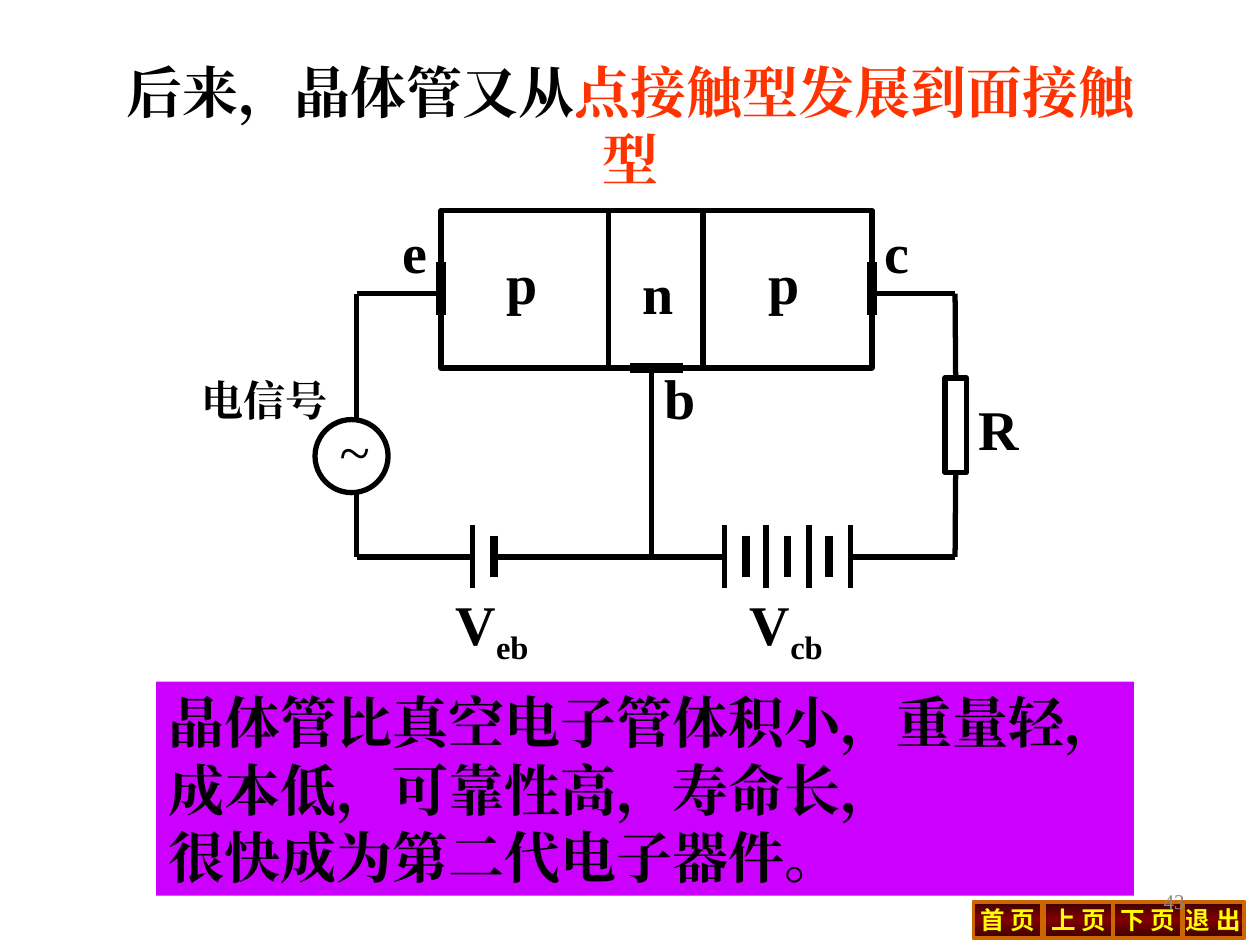
from copy import deepcopy

from lxml import etree
from pptx import Presentation
from pptx.dml.color import RGBColor
from pptx.enum.shapes import MSO_CONNECTOR, MSO_SHAPE
from pptx.enum.text import MSO_ANCHOR, PP_ALIGN
from pptx.oxml.ns import qn
from pptx.util import Inches, Pt

STRAIGHT = MSO_CONNECTOR.STRAIGHT
RECTANGLE, OVAL, BEVEL = MSO_SHAPE.RECTANGLE, MSO_SHAPE.OVAL, MSO_SHAPE.BEVEL
LEFT, CENTER, RIGHT = PP_ALIGN.LEFT, PP_ALIGN.CENTER, PP_ALIGN.RIGHT
MIDDLE = MSO_ANCHOR.MIDDLE
BLACK = "000000"


def color(hex_string):
    return RGBColor.from_string(hex_string)


class SlideBuilder:
    latin = "Times New Roman"
    chinese = "Noto Sans CJK SC"

    def __init__(self, page):
        self.page = page

    def set_text(self, shape, paragraphs, size=32, ink=BLACK, bold=True, italic=False,
                 font=latin, align=CENTER, wrap=False):
        """Fill a shape; each paragraph is a list of (text, overrides) spans."""
        frame = shape.text_frame
        frame.word_wrap = wrap
        frame.vertical_anchor = MIDDLE
        for index, spans in enumerate(paragraphs):
            para = frame.paragraphs[0] if index == 0 else frame.add_paragraph()
            para.alignment = align
            para.line_spacing = 1.0
            for text, overrides in spans:
                span = para.add_run()
                span.text = text
                span.font.size = Pt(size)
                span.font.bold = bold
                span.font.italic = italic
                span.font.name = font
                span.font.color.rgb = color(overrides.get("ink", ink))
                properties = span._r.get_or_add_rPr()
                etree.SubElement(properties, qn("a:ea")).set("typeface", font)
                if "baseline" in overrides:
                    properties.set("baseline", str(overrides["baseline"]))

    def title(self, spans, left, top, width, height):
        box = self.page.shapes.title
        box.left, box.top = Inches(left), Inches(top)
        box.width, box.height = Inches(width), Inches(height)
        self.set_text(box, [spans])

    def label(self, spans, left, top, width, height=0.64, **style):
        box = self.page.shapes.add_textbox(
            Inches(left), Inches(top), Inches(width), Inches(height))
        self.set_text(box, [spans], **style)

    def shape(self, kind, left, top, width, height, fill=None, line=BLACK, weight=3):
        shape = self.page.shapes.add_shape(
            kind, Inches(left), Inches(top), Inches(width), Inches(height))
        shape.shadow.inherit = False
        if fill:
            shape.fill.solid()
            shape.fill.fore_color.rgb = color(fill)
        else:
            shape.fill.background()
        if line:
            shape.line.color.rgb = color(line)
            shape.line.width = Pt(weight)
        else:
            shape.line.fill.background()
        return shape

    def wire(self, x1, y1, x2, y2, weight=3):
        wire = self.page.shapes.add_connector(
            STRAIGHT, Inches(x1), Inches(y1), Inches(x2), Inches(y2))
        wire.line.color.rgb = color(BLACK)
        wire.line.width = Pt(weight)
        etree.SubElement(wire._element.spPr, qn("a:effectLst"))
        return wire

    def button(self, text, left, width):
        button = self.shape(BEVEL, left, 7.15, width, 0.3, line="CC6600", weight=1)
        button.adjustments[0] = 0.05
        button.fill.gradient()
        button.fill.gradient_angle = 90
        first = button._element.spPr.find(".//" + qn("a:gs"))
        first.addnext(deepcopy(first))
        for stop, position, shade in zip(button.fill.gradient_stops, (0, 0.5, 1),
                                         ("3B0000", "800000", "3B0000")):
            stop.position = position
            stop.color.rgb = color(shade)
        self.set_text(button, [[(text, {})]], size=14, ink="FFFF00", font=self.chinese)


def draw_circuit(builder):
    left, right, base = 2.83, 7.58, 5.17
    top, bottom = 2.33, 4.42
    body_left, body_right, body_top, body_bottom = 3.5, 6.92, 1.67, 2.92

    builder.shape(RECTANGLE, body_left, body_top, body_right - body_left,
                  body_bottom - body_top)
    for junction in (4.83, 5.58):
        builder.wire(junction, body_top, junction, body_bottom)
    builder.shape(OVAL, 2.5, 3.33, 0.58, 0.58)
    resistor = builder.shape(RECTANGLE, 7.5, 3, 0.17, 0.75)

    for ends in (
        (body_right, top, right, top),
        (left, top, body_left, top),
        (left, top, left, 3.33),
        (left, 3.92, left, bottom),
        (base, body_bottom, base, bottom),
        (left, bottom, 3.75, bottom),
        (3.92, bottom, 5.75, bottom),
        (6.75, bottom, right, bottom),
    ):
        builder.wire(*ends)
    builder.wire(right, top, right, 3).end_connect(resistor, 0)
    builder.wire(right, 3.75, right, bottom).begin_connect(resistor, 2)

    for plate in (3.75, 5.75, 6.08, 6.42, 6.75):
        builder.wire(plate, 4.17, plate, 4.67)
    for plate in (3.92, 5.92, 6.25, 6.58):
        builder.wire(plate, 4.25, plate, 4.58, weight=4.5)
    for contact in (body_left, body_right):
        builder.wire(contact, 2.08, contact, 2.5, weight=6)
    builder.wire(5, body_bottom, 5.42, body_bottom, weight=6)

    for text, x, y, width in (
        ("p", 3.92, 1.92, 0.45), ("n", 5, 2, 0.45), ("p", 6, 1.92, 0.45),
        ("e", 3.09, 1.67, 0.4), ("c", 6.92, 1.67, 0.4), ("b", 5.17, 2.83, 0.45),
        ("R", 7.67, 3.08, 0.52),
    ):
        builder.label([(text, {})], x, y, width)
    for subscript, x, width in (("eb", 3.5, 0.81), ("cb", 5.85, 0.78)):
        builder.label([("V", {}), (subscript, {"baseline": -25000})],
                      x, 4.63, width, 0.71)
    builder.label([("~", {})], 2.59, 3.25, 0.44, bold=False, italic=True)
    builder.label([("电信号", {})], 1.5, 2.92, 1.2, 0.5, size=24)


def main():
    deck = Presentation()
    deck.slide_width, deck.slide_height = Inches(10), Inches(7.5)
    title_only = deck.slide_layouts[5]
    builder = SlideBuilder(deck.slides.add_slide(title_only))

    for text, left, width in (("首 页", 7.72, 0.56), ("上 页", 8.28, 0.56),
                              ("下 页", 8.83, 0.56), ("退 出", 9.38, 0.5)):
        builder.button(text, left, width)
    builder.label([("43", {})], 7.17, 6.95, 2.33, 0.4, size=12, ink="898989",
                  bold=False, align=RIGHT, wrap=True)
    draw_circuit(builder)
    builder.title([("后来，晶体管又从", {}),
                   ("点接触型发展到面接触型", {"ink": "FF3300"})],
                  0.68, 0.67, 8.65, 0.64)
    summary = builder.shape(RECTANGLE, 1.24, 5.41, 7.76, 1.7, fill="CC00FF", line=None)
    lines = ("晶体管比真空电子管体积小，重量轻，", "成本低，可靠性高，寿命长，",
             "很快成为第二代电子器件。")
    builder.set_text(summary, [[(line, {})] for line in lines], align=LEFT)
    deck.save("out.pptx")


if __name__ == "__main__":
    main()
